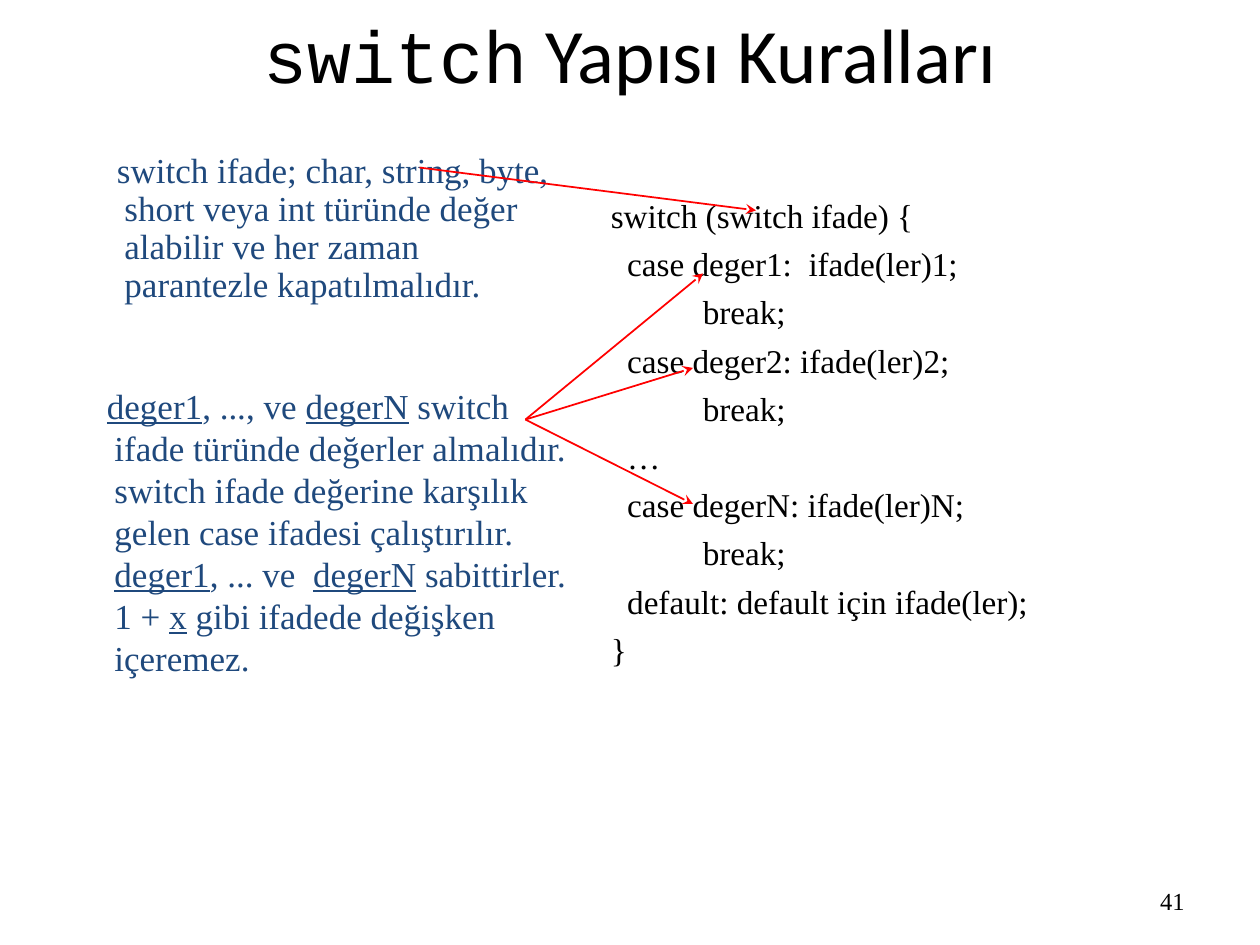
from dataclasses import dataclass
from typing import Optional

from lxml import etree
from pptx import Presentation
from pptx.dml.color import RGBColor
from pptx.enum import shapes, text
from pptx.oxml.ns import qn
from pptx.util import Inches, Pt


@dataclass(frozen=True)
class Theme:
    ink: RGBColor = RGBColor(0x00, 0x00, 0x00)
    note: RGBColor = RGBColor(0x1F, 0x49, 0x7D)
    arrow: RGBColor = RGBColor(0xFF, 0x00, 0x00)
    serif: str = "Times New Roman"
    sans: str = "Calibri"
    mono: str = "Courier New"
    title_size: float = 44
    keyword_size: float = 42
    note_size: float = 20
    code_size: float = 19
    number_size: float = 14
    arrow_width: float = 1


THEME = Theme()


@dataclass(frozen=True)
class Span:
    text: str
    size: float
    font: str = THEME.serif
    color: RGBColor = THEME.ink
    underline: bool = False


@dataclass(frozen=True)
class Para:
    spans: list[Span]
    align: text.PP_ALIGN = text.PP_ALIGN.LEFT
    indent: float = 0
    hanging: float = 0
    before: float = 0
    line_spacing: Optional[float] = None


@dataclass(frozen=True)
class Area:
    left: float
    top: float
    width: float
    height: float


@dataclass(frozen=True)
class Note:
    """An explanation with arrows from one start point to the code."""
    area: Area
    para: Para
    start: tuple[float, float]
    targets: list[tuple[float, float]]


def add_text(parent, area: Area, paras: list[Para],
             anchor: text.MSO_ANCHOR = text.MSO_ANCHOR.TOP) -> None:
    box = parent.add_textbox(Inches(area.left), Inches(area.top),
                             Inches(area.width), Inches(area.height))
    frame = box.text_frame
    frame.word_wrap = True
    frame.vertical_anchor = anchor
    for index, item in enumerate(paras):
        para = frame.add_paragraph() if index else frame.paragraphs[0]
        para.alignment = item.align
        para.space_before = Pt(item.before)
        if item.line_spacing:
            para.line_spacing = item.line_spacing
        properties = para._p.get_or_add_pPr()
        properties.set("marL", str(Inches(item.indent)))
        properties.set("indent", str(Inches(-item.hanging)))
        for part in item.spans:
            span = para.add_run()
            span.text = part.text
            span.font.size = Pt(part.size)
            span.font.name = part.font
            span.font.color.rgb = part.color
            span.font.underline = part.underline


def add_arrow(parent, start: tuple[float, float], end: tuple[float, float]) -> None:
    arrow = parent.add_connector(shapes.MSO_CONNECTOR.STRAIGHT,
                                 *map(Inches, start), *map(Inches, end))
    arrow.line.color.rgb = THEME.arrow
    arrow.line.width = Pt(THEME.arrow_width)
    etree.SubElement(arrow.line._get_or_add_ln(), qn("a:tailEnd"), type="stealth")
    etree.SubElement(arrow._element.spPr, qn("a:effectLst"))


def add_note(page, note: Note) -> None:
    group = page.shapes.add_group_shape().shapes
    add_text(group, note.area, [note.para])
    for target in note.targets:
        add_arrow(group, note.start, target)


def note_para(*pieces: str, line_spacing: Optional[float] = None) -> Para:
    """Pieces that start with an underscore are underlined."""
    spans = [Span(piece.removeprefix("_"), THEME.note_size, color=THEME.note,
                  underline=piece.startswith("_")) for piece in pieces]
    return Para(spans, indent=0.06, hanging=0.06, line_spacing=line_spacing)


# Left indent in inches for each nesting level of the code
CODE_INDENTS = (0, 0.13, 0.73)
CODE = [
    (0, "switch (switch ifade) {"),
    (1, "case deger1:  ifade(ler)1;"),
    (2, "break;"),
    (1, "case deger2: ifade(ler)2;"),
    (2, "break;"),
    (1, "…"),
    (1, "case degerN: ifade(ler)N;"),
    (2, "break;"),
    (1, "default: default için ifade(ler);"),
    (0, "}"),
]
NOTES = [
    Note(Area(0.83, 1.17, 3.67, 1.42),
         note_para("switch ifade; char, string, byte, short veya int türünde değer "
                   "alabilir ve her zaman parantezle kapatılmalıdır.",
                   line_spacing=0.9),
         (3.33, 1.33), [(6, 1.67)]),
    Note(Area(0.75, 3, 3.92, 2.89),
         note_para("_deger1", ", ..., ve ", "_degerN",
                   " switch ifade türünde değerler almalıdır. switch ifade değerine "
                   "karşılık gelen case ifadesi çalıştırılır. ",
                   "_deger1", ", ... ve  ", "_degerN", " sabittirler. 1 + ", "_x",
                   " gibi ifadede değişken içeremez."),
         (4.17, 3.33), [(5.58, 2.17), (5.5, 2.92), (5.5, 4)]),
]


def main() -> None:
    deck = Presentation()
    deck.slide_width, deck.slide_height = Inches(10), Inches(7.5)
    page = deck.slides.add_slide(deck.slide_layouts[6])

    title = [Span("switch", THEME.keyword_size, THEME.mono),
             Span(" Yapısı Kuralları", THEME.title_size, THEME.sans)]
    add_text(page.shapes, Area(0.75, 0, 8.5, 0.83),
             [Para(title, text.PP_ALIGN.CENTER)], text.MSO_ANCHOR.MIDDLE)
    add_text(page.shapes, Area(7.17, 6.95, 2.33, 0.4),
             [Para([Span("41", THEME.number_size)], text.PP_ALIGN.RIGHT)],
             text.MSO_ANCHOR.MIDDLE)
    add_text(page.shapes, Area(4.75, 1.5, 4, 4.17),
             [Para([Span(line, THEME.code_size)], indent=CODE_INDENTS[level],
                   before=THEME.code_size / 4) for level, line in CODE])
    for note in NOTES:
        add_note(page, note)

    deck.save("out.pptx")


if __name__ == "__main__":
    main()
